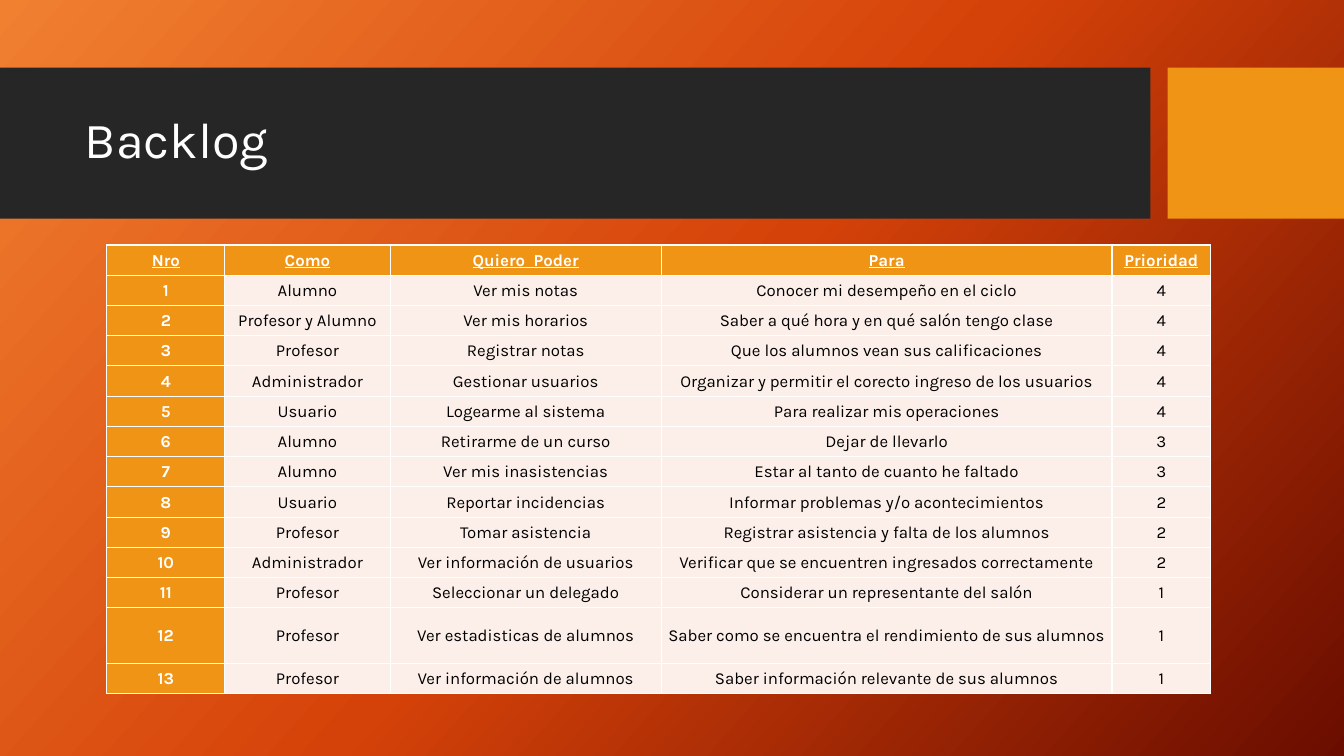
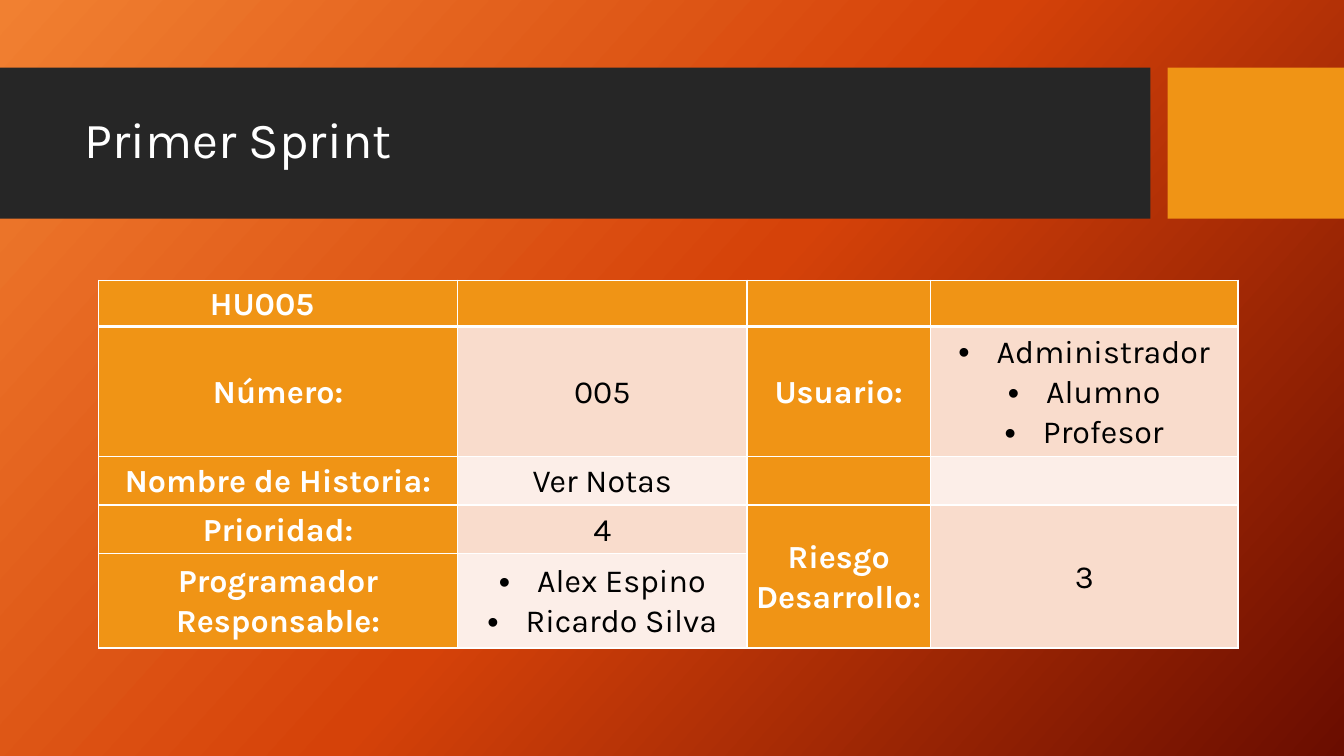
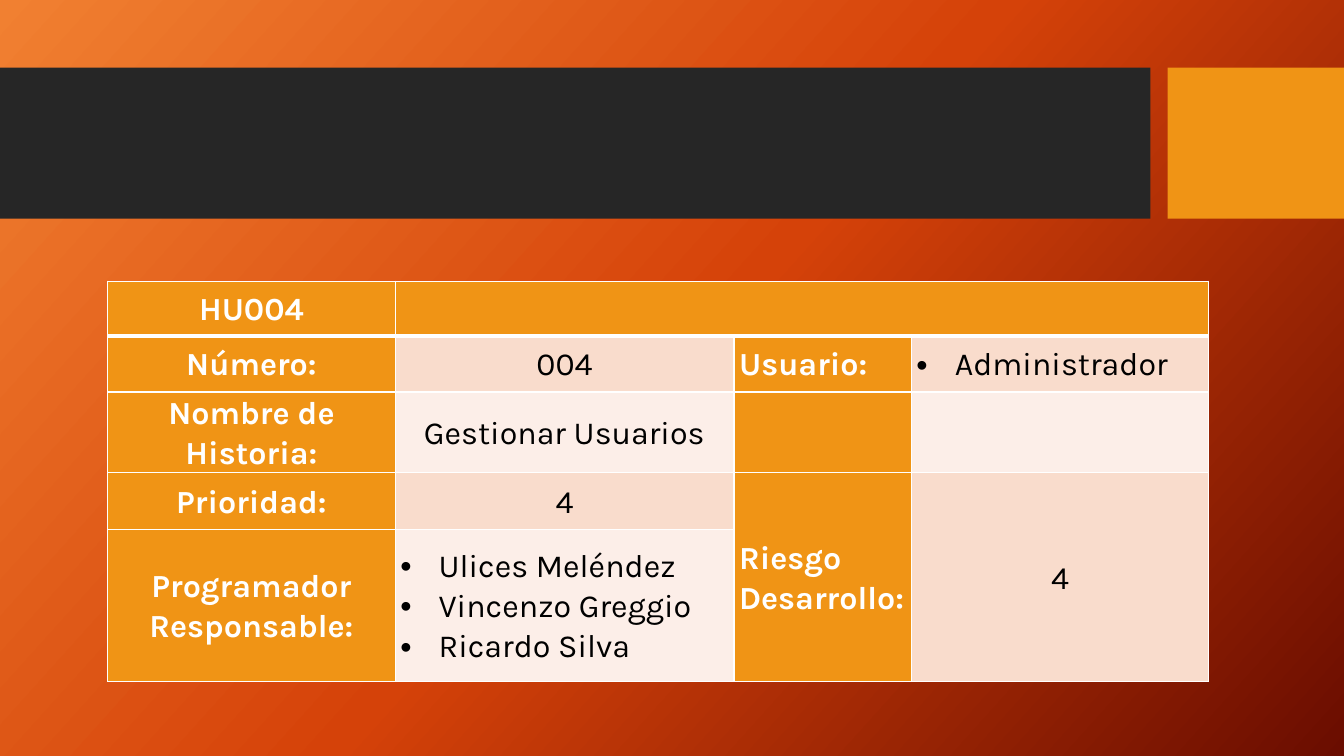
from pptx import Presentation
from pptx.dml.color import RGBColor
from pptx.enum.shapes import MSO_SHAPE
from pptx.enum.text import MSO_ANCHOR, PP_ALIGN
from pptx.oxml import parse_xml
from pptx.oxml.ns import nsdecls
from pptx.util import Inches, Pt

# Shared look
FONT = "Karla"
WHITE = RGBColor(0xFF, 0xFF, 0xFF)
BLACK = RGBColor(0, 0, 0)
DARK = RGBColor(0x26, 0x26, 0x26)
GOLD = RGBColor(0xF0, 0x94, 0x15)
PEACH = RGBColor(0xF9, 0xDC, 0xCC)
PALE = RGBColor(0xFC, 0xEE, 0xE8)
STOPS = [(0, RGBColor(0xF1, 0x80, 0x31)), (50, RGBColor(0xD5, 0x42, 0x09)),
         (100, RGBColor(0x6A, 0x0D, 0x00))]
ANGLE = 42
BANDS = [(0, 11.41, DARK), (11.58, 1.75, GOLD)]
LEFT, MID = PP_ALIGN.LEFT, PP_ALIGN.CENTER

# Content
BACKLOG = [
    ("Nro", "Como", "Quiero  Poder", "Para", "Prioridad"),
    ("1", "Alumno", "Ver mis notas", "Conocer mi desempeño en el ciclo", "4"),
    ("2", "Profesor y Alumno", "Ver mis horarios",
     "Saber a qué hora y en qué salón tengo clase", "4"),
    ("3", "Profesor", "Registrar notas",
     "Que los alumnos vean sus calificaciones", "4"),
    ("4", "Administrador", "Gestionar usuarios",
     "Organizar y permitir el corecto ingreso de los usuarios", "4"),
    ("5", "Usuario", "Logearme al sistema", "Para realizar mis operaciones", "4"),
    ("6", "Alumno", "Retirarme de un curso", "Dejar de llevarlo", "3"),
    ("7", "Alumno", "Ver mis inasistencias",
     "Estar al tanto de cuanto he faltado", "3"),
    ("8", "Usuario", "Reportar incidencias",
     "Informar problemas y/o acontecimientos", "2"),
    ("9", "Profesor", "Tomar asistencia",
     "Registrar asistencia y falta de los alumnos", "2"),
    ("10", "Administrador", "Ver información de usuarios",
     "Verificar que se encuentren ingresados correctamente", "2"),
    ("11", "Profesor", "Seleccionar un delegado",
     "Considerar un representante del salón", "1"),
    ("12", "Profesor", "Ver estadisticas de alumnos",
     "Saber como se encuentra el rendimiento de sus alumnos", "1"),
    ("13", "Profesor", "Ver información de alumnos",
     "Saber información relevante de sus alumnos", "1"),
]


def story(num, users, name, rank, team, risk):
    """Rows of a user story card; a list becomes bullets."""
    return [
        ("HU" + num, "", "", ""),
        ("Número:", num, "Usuario:", users),
        ("Nombre de Historia:", name, "", ""),
        ("Prioridad:", rank, "Riesgo Desarrollo:", risk),
        ("Programador Responsable:", team, "", ""),
    ]


NOTES = story("005", ["Administrador", "Alumno", "Profesor"], "Ver Notas", "4",
              ["Alex Espino", "Ricardo Silva"], "3")
USERS = story("004", ["Administrador"], "Gestionar Usuarios", "4",
              ["Ulices Meléndez", "Vincenzo Greggio", "Ricardo Silva"], "4")
RISK = [(3, 2, 4, 2), (3, 3, 4, 3)]  # merged cells: first row, col, last row, col


def write(frame, text, size=23, color=BLACK, bold=False, line=False,
          align=MID, space=None):
    """Fill a text frame; a list gives one bullet per item."""
    items = text if isinstance(text, list) else [text]
    for i, item in enumerate(items):
        para = frame.paragraphs[0] if i == 0 else frame.add_paragraph()
        para.alignment, para.line_spacing = align, space
        if items is text:
            props = para._p.get_or_add_pPr()
            props.set("marL", str(Inches(0.38)))
            props.set("indent", str(-Inches(0.38)))
            props.append(parse_xml(f'<a:buFont {nsdecls("a")} typeface="Arial"/>'))
            props.append(parse_xml(f'<a:buChar {nsdecls("a")} char="•"/>'))
        run = para.add_run()
        run.text = item
        font = run.font
        font.name, font.size, font.bold = FONT, Pt(size), bold
        font.underline = line
        font.color.rgb = color


def border(cell, top=1, base=1):
    """White lines on the four sides of a cell."""
    props = cell._tc.get_or_add_tcPr()
    for i, (side, width) in enumerate(zip("LRTB", (1, 1, top, base))):
        props.insert(i, parse_xml(
            f'<a:ln{side} {nsdecls("a")} w="{Pt(width)}"><a:solidFill>'
            f'<a:srgbClr val="{WHITE}"/></a:solidFill></a:ln{side}>'))


def grid(slide, data, left, top, cols, rows, heads, tints, pads,
         merge=(), rule=1, line=False, flush=False, **style):
    """Add a table; heads are the gold columns, flush aligns lists left."""
    table = slide.shapes.add_table(
        len(rows), len(cols), Inches(left), Inches(top),
        Inches(sum(cols)), Inches(sum(rows))).table
    table.horz_banding = False
    for col, width in zip(table.columns, cols):
        col.width = Inches(width)
    for row, height in zip(table.rows, rows):
        row.height = Inches(height)
    for r, row in enumerate(data):
        for c, text in enumerate(row):
            cell = table.cell(r, c)
            head = r == 0 or c in heads
            cell.fill.solid()
            cell.fill.fore_color.rgb = GOLD if head else tints[r % 2]
            border(cell, rule if r == 1 else 1, rule if r == 0 else 1)
            cell.vertical_anchor = MSO_ANCHOR.MIDDLE
            cell.margin_left = cell.margin_right = Inches(pads[0])
            cell.margin_top, cell.margin_bottom = Inches(pads[1]), 0
            if text:
                side = flush and (c == 2 or isinstance(text, list))
                write(cell.text_frame, text, color=WHITE if head else BLACK,
                      bold=head, line=line and r == 0,
                      align=LEFT if side else MID, **style)
    for r1, c1, r2, c2 in merge:
        table.cell(r1, c1).merge(table.cell(r2, c2))
    return table


def dress(deck, layout):
    """Put the background, bands and title place on the template."""
    fill = deck.slide_master.background.fill
    fill.gradient()
    fill.gradient_angle = 360 - ANGLE
    stops = fill._fill._gradFill.gsLst
    for stop in list(stops):
        stops.remove(stop)
    for pos, color in STOPS:
        stops.append(parse_xml(f'<a:gs {nsdecls("a")} pos="{pos * 1000}">'
                               f'<a:srgbClr val="{color}"/></a:gs>'))
    title = layout.placeholders[0]
    title.left, title.top = Inches(0.74), Inches(0.82)
    title.width, title.height = Inches(10.51), Inches(1.18)
    title.text_frame.vertical_anchor = MSO_ANCHOR.MIDDLE


def band(slide, layout):
    """Draw the bands and move them behind the layout's title."""
    for i, (left, width, color) in enumerate(BANDS):
        bar = slide.shapes.add_shape(MSO_SHAPE.RECTANGLE, Inches(left),
                                     Inches(0.67), Inches(width), Inches(1.5))
        bar.shadow.inherit = False
        bar.fill.solid()
        bar.fill.fore_color.rgb = color
        bar.line.fill.background()
        layout.shapes.element.insert(2 + i, bar.element)


def page(deck, layout, title=None):
    """Add a slide, with its title if it has one."""
    slide = deck.slides.add_slide(layout)
    head = slide.shapes.title
    if title:
        write(head.text_frame, title, size=36, color=WHITE, align=LEFT, space=0.9)
    else:
        head.element.getparent().remove(head.element)
    return slide


def main():
    deck = Presentation()
    deck.slide_width, deck.slide_height = Inches(13.33), Inches(7.5)
    layout = deck.slide_layouts[5]
    dress(deck, layout)

    # Backlog
    first = page(deck, layout, "Backlog")
    band(first, layout)
    grid(first, BACKLOG, 1.06, 2.43, [1.17, 1.64, 2.69, 4.47, 0.98],
         [0.3] * 12 + [0.55, 0.3], {0}, (PALE, PALE), (0.01, 0.01),
         line=True, size=12)

    # Story cards
    card = dict(heads={0, 2}, tints=(PALE, PEACH), pads=(0.05, 0),
                rule=3, space=1.07)
    notes = grid(page(deck, layout, "Primer Sprint"), NOTES, 0.98, 2.78,
                 [3.56, 2.87, 1.82, 3.05], [0.46, 1.29, 0.48, 0.48, 0.94],
                 merge=RISK, **card)
    notes.cell(0, 0).margin_right = Inches(0.37)
    grid(page(deck, layout), USERS, 1.07, 2.79, [2.85, 3.36, 1.76, 2.95],
         [0.54, 0.56, 0.8, 0.56, 1.51], merge=RISK + [(0, 1, 0, 3)],
         flush=True, **card)
    deck.save("out.pptx")


if __name__ == "__main__":
    main()
